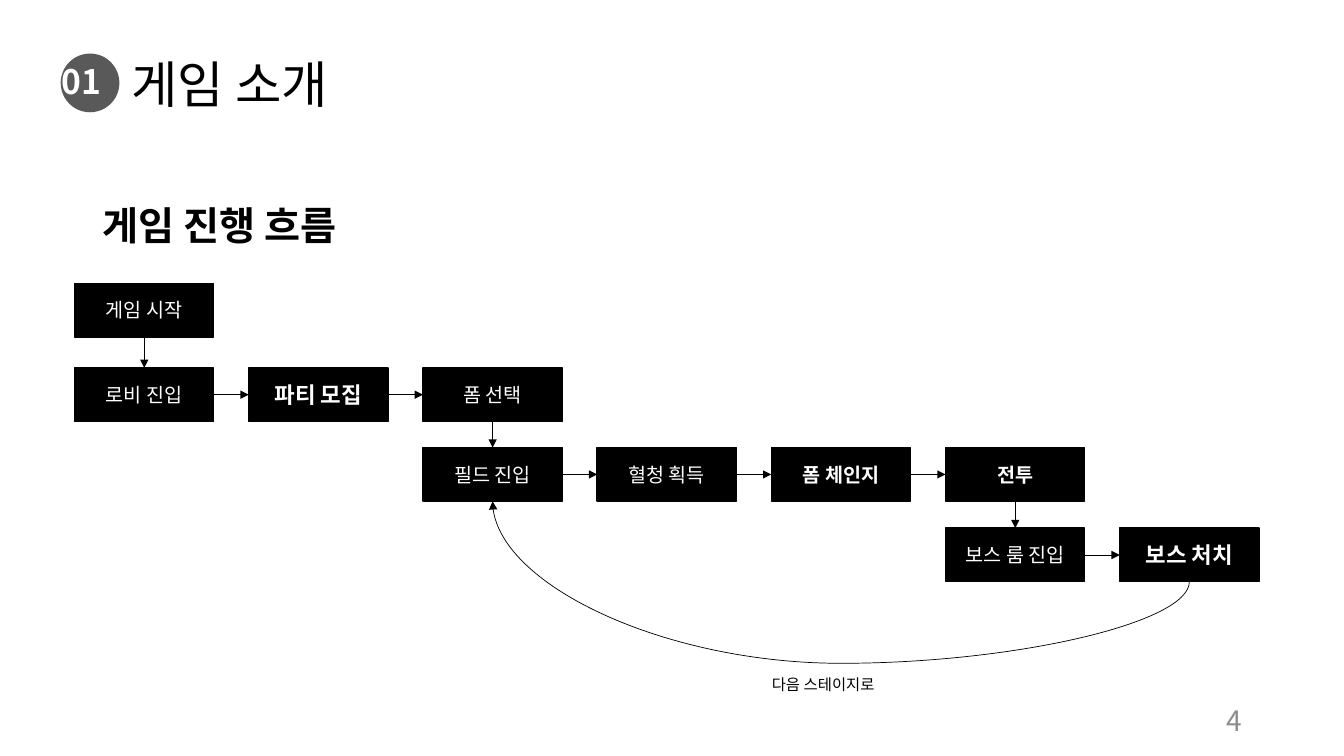
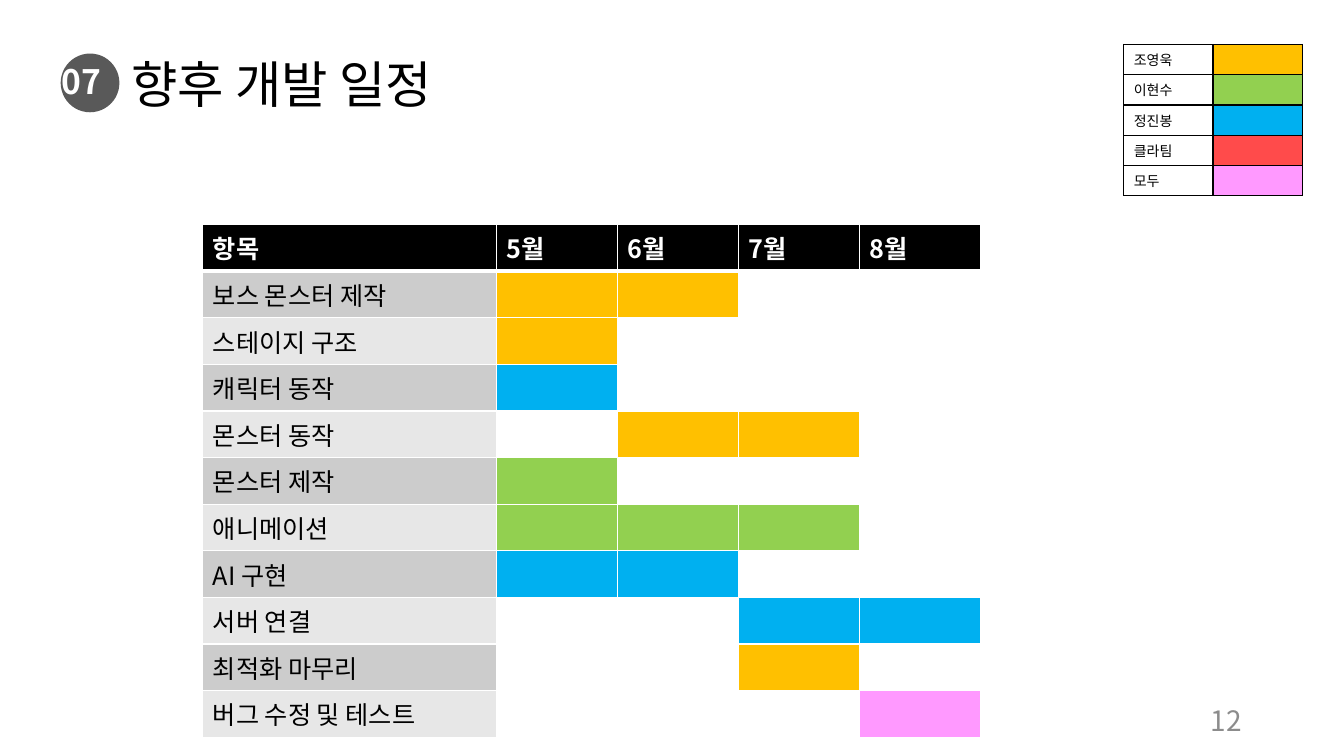
from dataclasses import dataclass
from typing import Optional

import lxml.etree
import pptx
import pptx.dml.color
import pptx.enum.shapes
import pptx.enum.text
import pptx.oxml.ns
import pptx.util
from pptx.dml.color import RGBColor
from pptx.enum.shapes import MSO_CONNECTOR, MSO_SHAPE
from pptx.enum.text import MSO_ANCHOR, MSO_AUTO_SIZE, PP_ALIGN
from pptx.util import Cm, Pt

FONT = "Noto Sans CJK KR"
BLACK = RGBColor(0x00, 0x00, 0x00)
WHITE = RGBColor(0xFF, 0xFF, 0xFF)
BADGE_GRAY = RGBColor(0x59, 0x59, 0x59)
NUMBER_GRAY = RGBColor(0x8C, 0x8C, 0x8C)
BAND_DARK = RGBColor(0xCC, 0xCC, 0xCC)
BAND_LIGHT = RGBColor(0xE7, 0xE7, 0xE7)
ORANGE = RGBColor(0xFF, 0xC0, 0x00)
GREEN = RGBColor(0x92, 0xD0, 0x50)
BLUE = RGBColor(0x00, 0xB0, 0xF0)
RED = RGBColor(0xFF, 0x4B, 0x4B)
PINK = RGBColor(0xFF, 0x99, 0xFF)

# Connection sites of a rectangle
LEFT, BOTTOM, RIGHT, TOP = 1, 2, 3, 0

BOX_W, BOX_H = 3.51, 1.35
FIRST_COLUMN, COLUMN_STEP = 1.88, 4.39
ROW_TOPS = (7.14, 9.27, 11.28, 13.31)


@dataclass(frozen=True)
class Step:
    text: str
    column: int
    row: int
    size: int = 14
    bold: bool = False


@dataclass(frozen=True)
class Task:
    name: str
    color: RGBColor
    start: int
    end: int


@dataclass(frozen=True)
class Owner:
    name: str
    color: RGBColor


STEPS = (
    Step("게임 시작", 0, 0),
    Step("로비 진입", 0, 1),
    Step("파티 모집", 1, 1, size=16, bold=True),
    Step("폼 선택", 2, 1),
    Step("필드 진입", 2, 2),
    Step("혈청 획득", 3, 2),
    Step("폼 체인지", 4, 2, bold=True),
    Step("전투", 5, 2, bold=True),
    Step("보스 룸 진입", 5, 3),
    Step("보스 처치", 6, 3, size=16, bold=True),
)
LOOP_TARGET = 4

MONTHS = (5, 6, 7, 8)
TASKS = (
    Task("보스 몬스터 제작", ORANGE, 5, 6),
    Task("스테이지 구조", ORANGE, 5, 5),
    Task("캐릭터 동작", BLUE, 5, 5),
    Task("몬스터 동작", ORANGE, 6, 7),
    Task("몬스터 제작", GREEN, 5, 5),
    Task("애니메이션", GREEN, 5, 7),
    Task("AI 구현", BLUE, 5, 6),
    Task("서버 연결", BLUE, 7, 8),
    Task("최적화 마무리", ORANGE, 7, 7),
    Task("버그 수정 및 테스트", PINK, 8, 8),
)
OWNERS = (
    Owner("조영욱", ORANGE),
    Owner("이현수", GREEN),
    Owner("정진봉", BLUE),
    Owner("클라팀", RED),
    Owner("모두", PINK),
)


def sub(parent, tag: str, **attributes: str):
    child = lxml.etree.SubElement(parent, pptx.oxml.ns.qn(tag))
    for name, value in attributes.items():
        child.set(name, value)
    return child


def write(tf, text: str, *, size: int, color: RGBColor = BLACK, bold: bool = False,
          align: PP_ALIGN = PP_ALIGN.LEFT, anchor: Optional[MSO_ANCHOR] = None,
          line_spacing: Optional[float] = None) -> None:
    """Fill a text frame with one paragraph; empty text still sets the line height."""
    if anchor is not None:
        tf.auto_size = MSO_AUTO_SIZE.NONE
        tf.word_wrap = True
        tf.vertical_anchor = anchor
    p = tf.paragraphs[0]
    p.alignment = align
    if line_spacing:
        p.line_spacing = line_spacing
    if not text:
        p._p.get_or_add_endParaRPr().set("sz", str(size * 100))
        return
    r = p.add_run()
    r.text = text
    r.font.size = Pt(size)
    r.font.bold = bold
    r.font.color.rgb = color
    r.font.name = FONT
    sub(r.font._element, "a:ea", typeface=FONT)


def add_text(s, left: float, top: float, width: float, height: float, text: str,
             **text_format) -> None:
    box = s.shapes.add_textbox(Cm(left), Cm(top), Cm(width), Cm(height))
    write(box.text_frame, text, **text_format)


def add_filled(s, kind: MSO_SHAPE, left: float, top: float, width: float,
               height: float, color: RGBColor):
    sp = s.shapes.add_shape(kind, Cm(left), Cm(top), Cm(width), Cm(height))
    sp.shadow.inherit = False
    sp.fill.solid()
    sp.fill.fore_color.rgb = color
    sp.line.color.rgb = color
    sp.line.width = Pt(1)
    return sp


def add_titled_slide(prs, section: str, title: str, page: int):
    s = prs.slides.add_slide(prs.slide_layouts[5])
    badge = add_filled(s, MSO_SHAPE.OVAL, 1.53, 1.35, 1.48, 1.48, BADGE_GRAY)
    badge.line.fill.background()
    heading = s.shapes.title
    heading.left, heading.top = Cm(3.05), Cm(1.04)
    heading.width, heading.height = Cm(12.37), Cm(2.29)
    write(heading.text_frame, title, size=36, anchor=MSO_ANCHOR.MIDDLE,
          line_spacing=0.9)
    add_text(s, 1.3, 1.45, 1.73, 1.24, section, size=24, color=WHITE, bold=True,
             anchor=MSO_ANCHOR.BOTTOM, line_spacing=0.9)
    add_text(s, 23.93, 17.65, 7.62, 1.02, str(page), size=20, color=NUMBER_GRAY,
             align=PP_ALIGN.RIGHT, anchor=MSO_ANCHOR.MIDDLE)
    return s


def add_step(s, step: Step):
    sp = add_filled(s, MSO_SHAPE.RECTANGLE, FIRST_COLUMN + step.column * COLUMN_STEP,
                    ROW_TOPS[step.row], BOX_W, BOX_H, BLACK)
    write(sp.text_frame, step.text, size=step.size, color=WHITE, bold=step.bold,
          align=PP_ALIGN.CENTER, anchor=MSO_ANCHOR.MIDDLE)
    return sp


def add_arrow(s, kind: MSO_CONNECTOR, source, source_site: int, target,
              target_site: int):
    arrow = s.shapes.add_connector(kind, 0, 0, 0, 0)
    arrow.begin_connect(source, source_site)
    arrow.end_connect(target, target_site)
    arrow.line.color.rgb = BLACK
    arrow.line.width = Pt(0.5)
    sub(arrow.line._get_or_add_ln(), "a:tailEnd", type="triangle")
    sub(arrow._element.spPr, "a:effectLst")
    return arrow


def add_loop_arrow(s, source, target) -> None:
    """Curve that leaves the source's underside and returns to the target's."""
    arrow = add_arrow(s, MSO_CONNECTOR.CURVE, source, BOTTOM, target, BOTTOM)
    run = abs(arrow.begin_x - arrow.end_x)
    rise = abs(arrow.begin_y - arrow.end_y)
    center_x = (arrow.begin_x + arrow.end_x) // 2
    center_y = (arrow.begin_y + arrow.end_y) // 2
    arrow.left, arrow.top = center_x - rise // 2, center_y - run // 2
    arrow.width, arrow.height = rise, run
    spPr = arrow._element.spPr
    xfrm = spPr.find(pptx.oxml.ns.qn("a:xfrm"))
    xfrm.attrib.pop("flipV", None)
    xfrm.set("flipH", "1")
    xfrm.set("rot", "5400000")
    geometry = spPr.find(pptx.oxml.ns.qn("a:prstGeom"))
    guides = geometry.find(pptx.oxml.ns.qn("a:avLst"))
    if guides is None:
        guides = sub(geometry, "a:avLst")
    sub(guides, "a:gd", name="adj1", fmla="val -101200")


def add_grid(s, left: float, top: float, widths: list[float], row_height: float,
             row_count: int):
    table = s.shapes.add_table(row_count, len(widths), Cm(left), Cm(top),
                               Cm(sum(widths)), Cm(row_height * row_count)).table
    table.horz_banding = False
    for column, width in zip(table.columns, widths):
        column.width = Cm(width)
    for row in table.rows:
        row.height = Cm(row_height)
    return table


def fill_cell(cell, text: str, fill: RGBColor, border: RGBColor,
              bottom_width: int = 1, top_width: int = 1, **text_format) -> None:
    tcPr = cell._tc.get_or_add_tcPr()
    widths = {"a:lnL": 1, "a:lnR": 1, "a:lnT": top_width, "a:lnB": bottom_width}
    for tag, width in widths.items():
        ln = sub(tcPr, tag, w=str(Pt(width)))
        sub(sub(ln, "a:solidFill"), "a:srgbClr", val=str(border))
    cell.fill.solid()
    cell.fill.fore_color.rgb = fill
    write(cell.text_frame, text, **text_format)


def add_schedule(s) -> None:
    table = add_grid(s, 5.11, 5.66, [7.4] + [3.05] * len(MONTHS), 1.17,
                     len(TASKS) + 1)
    headers = ["항목"] + [f"{month}월" for month in MONTHS]
    for column, header in enumerate(headers):
        fill_cell(table.cell(0, column), header, BLACK, WHITE, bottom_width=3,
                  size=18, color=WHITE, bold=True)
    for row, task in enumerate(TASKS, start=1):
        top_width = 3 if row == 1 else 1
        band = BAND_DARK if row % 2 else BAND_LIGHT
        fill_cell(table.cell(row, 0), task.name, band, WHITE, top_width=top_width,
                  size=18)
        for column, month in enumerate(MONTHS, start=1):
            fill = task.color if task.start <= month <= task.end else WHITE
            fill_cell(table.cell(row, column), "", fill, WHITE, top_width=top_width,
                      size=18)


def add_owner_legend(s) -> None:
    table = add_grid(s, 28.32, 1.12, [2.25, 2.25], 0.76, len(OWNERS))
    table.first_row = False
    for row, owner in enumerate(OWNERS):
        fill_cell(table.cell(row, 0), owner.name, WHITE, BLACK, size=10)
        fill_cell(table.cell(row, 1), "", owner.color, BLACK, size=10)


def build_flow_slide(prs) -> None:
    s = add_titled_slide(prs, "01", "게임 소개", 4)
    add_text(s, 2.34, 5.08, 29.21, 1.24, "게임 진행 흐름", size=28, bold=True,
             anchor=MSO_ANCHOR.TOP, line_spacing=0.9)
    boxes = [add_step(s, step) for step in STEPS]
    for i in range(len(STEPS) - 1):
        goes_down = STEPS[i].column == STEPS[i + 1].column
        sites = (BOTTOM, TOP) if goes_down else (RIGHT, LEFT)
        add_arrow(s, MSO_CONNECTOR.STRAIGHT, boxes[i], sites[0], boxes[i + 1],
                  sites[1])
    add_loop_arrow(s, boxes[-1], boxes[LOOP_TARGET])
    add_text(s, 19.2, 16.89, 3.4, 0.74, "다음 스테이지로", size=11,
             anchor=MSO_ANCHOR.TOP)


def build_schedule_slide(prs) -> None:
    s = add_titled_slide(prs, "07", "향후 개발 일정", 12)
    add_schedule(s)
    add_owner_legend(s)


def main() -> None:
    prs = pptx.Presentation()
    prs.slide_width, prs.slide_height = Cm(33.87), Cm(19.05)
    build_flow_slide(prs)
    build_schedule_slide(prs)
    prs.save("out.pptx")


if __name__ == "__main__":
    main()
